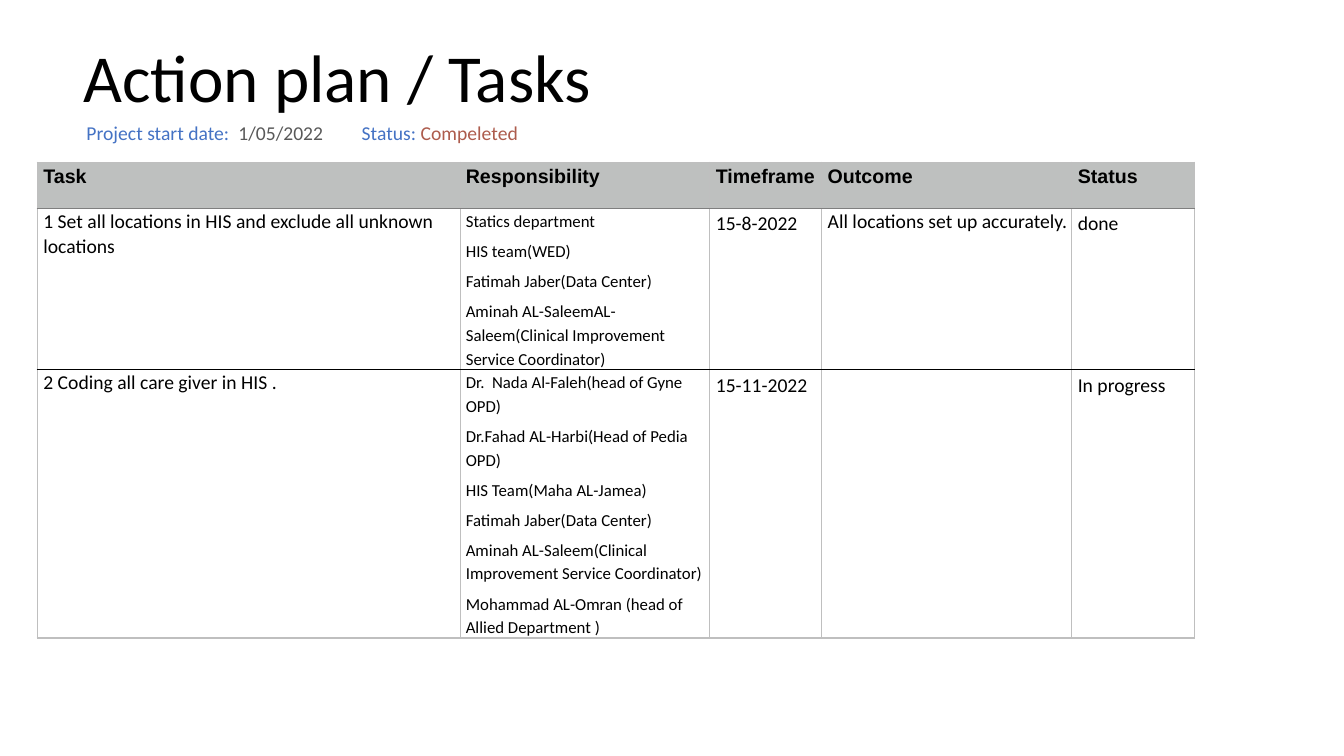
from dataclasses import dataclass

from lxml import etree
from pptx import Presentation
from pptx.dml.color import RGBColor
from pptx.enum.text import MSO_ANCHOR
from pptx.oxml.ns import qn
from pptx.util import Inches, Pt

MIDDLE = MSO_ANCHOR.MIDDLE


@dataclass(frozen=True)
class Theme:
    body: str = "Calibri"
    head: str = "Arial"
    ink: str = "000000"
    blue: str = "4472C4"
    gray: str = "595959"
    red: str = "AD5C4D"
    band: str = "BEC0BF"
    edge: str = "BFBFBF"
    rule: str = "7F7F7F"
    title: float = 48
    text: float = 14
    small: float = 12


THEME = Theme()
COLS = [4.2, 2.47, 1.11, 2.48, 1.22]
ROWS = [0.46, 1.6, 2.66]
LEADS = [1.04, 1.15, 1.15, 1.04, 1.15]
GAPS = [4.7, 4.7, 4.7, 4.7, 3.8]
INDENTS = [0.06, 0.05, 0.06, 0.06, 0.06]
HEADS = ["Task", "Responsibility", "Timeframe", "Outcome", "Status"]
TASKS = [
    [
        ["1 Set all locations in HIS and exclude all unknown locations"],
        [
            "Statics department",
            "HIS team(WED)",
            "Fatimah Jaber(Data Center)",
            "Aminah AL-SaleemAL-Saleem(Clinical Improvement Service Coordinator)",
        ],
        ["15-8-2022"],
        ["All locations set up accurately."],
        ["done"],
    ],
    [
        ["2 Coding all care giver in HIS ."],
        [
            "Dr.  Nada Al-Faleh(head of Gyne OPD)",
            "Dr.Fahad AL-Harbi(Head of Pedia OPD)",
            "HIS Team(Maha AL-Jamea)",
            "Fatimah Jaber(Data Center)",
            "Aminah AL-Saleem(Clinical Improvement Service Coordinator)",
            "Mohammad AL-Omran (head of Allied Department )",
        ],
        ["15-11-2022"],
        [],
        ["In progress"],
    ],
]


def style(font, size, name=THEME.body, color=THEME.ink, bold=False):
    font.size, font.name, font.bold = Pt(size), name, bold
    font.color.rgb = RGBColor.from_string(color)


def add_box(slide, box):
    """Add a wrapped text box and return its first paragraph."""
    frame = slide.shapes.add_textbox(*map(Inches, box)).text_frame
    frame.word_wrap = True
    frame.vertical_anchor = MIDDLE
    return frame.paragraphs[0]


def add_title(slide, box):
    para = add_box(slide, box)
    para.text = "Action plan / Tasks"
    para.line_spacing = 0.9
    style(para.font, THEME.title)


def add_facts(slide, box, stop):
    """Add the line of project facts, with a tab stop before the status."""
    para = add_box(slide, box)
    tabs = etree.SubElement(para._p.get_or_add_pPr(), qn("a:tabLst"))
    etree.SubElement(tabs, qn("a:tab"), pos=str(Inches(stop)), algn="l")
    style(para.font, THEME.text)
    for text, color in [
        ("Project start date:  ", THEME.blue),
        ("1/05/2022\t", THEME.gray),
        ("Status: ", THEME.blue),
        ("Compeleted", THEME.red),
    ]:
        run = para.add_run()
        run.text = text
        run.font.color.rgb = RGBColor.from_string(color)


def set_edges(cell, top, base):
    props = cell._tc.get_or_add_tcPr()
    sides = zip("LRTB", (THEME.edge, THEME.edge, top, base))
    for place, (side, color) in enumerate(sides):
        line = etree.Element(qn(f"a:ln{side}"), w=str(Pt(1)))
        fill = etree.SubElement(line, qn("a:solidFill"))
        etree.SubElement(fill, qn("a:srgbClr"), val=color)
        props.insert(place, line)


def fill_cell(cell, lines, indent, lead, gap, **look):
    cell.margin_left = cell.margin_right = 0
    cell.margin_top = cell.margin_bottom = 0
    frame = cell.text_frame
    frame.text = "\n".join(lines)
    for para in frame.paragraphs:
        props = para._p.get_or_add_pPr()
        props.set("marL", str(Inches(indent)))
        props.set("indent", "0")
        para.line_spacing = lead
        para.space_before = Pt(gap)
        style(para.font, **look)


def add_plan(slide, left, top):
    box = map(Inches, (left, top, sum(COLS), sum(ROWS)))
    table = slide.shapes.add_table(len(ROWS), len(COLS), *box).table
    table.first_row = table.horz_banding = False
    for part, size in zip(table.columns, COLS):
        part.width = Inches(size)
    for part, size in zip(table.rows, ROWS):
        part.height = Inches(size)

    rules = [THEME.edge, THEME.rule, THEME.ink, THEME.edge]
    for col, head in enumerate(HEADS):
        cell = table.cell(0, col)
        fill_cell(cell, [head], INDENTS[col], 1.15, 3.6,
                  size=THEME.text, name=THEME.head, bold=True)
        cell.fill.solid()
        cell.fill.fore_color.rgb = RGBColor.from_string(THEME.band)
        set_edges(cell, *rules[:2])
    for row, task in enumerate(TASKS, 1):
        for col, lines in enumerate(task):
            cell = table.cell(row, col)
            size = THEME.small if col == 1 else THEME.text
            fill_cell(cell, lines, INDENTS[col], LEADS[col], GAPS[col], size=size)
            cell.fill.background()
            set_edges(cell, *rules[row:row + 2])


def main():
    deck = Presentation()
    deck.slide_width, deck.slide_height = Inches(13.33), Inches(7.5)
    slide = deck.slides.add_slide(deck.slide_layouts[6])
    add_title(slide, (0.73, 0.23, 9.65, 1.14))
    add_facts(slide, (0.76, 1.16, 9.97, 0.32), 2.73)
    add_plan(slide, 0.37, 1.61)
    deck.save("out.pptx")


if __name__ == "__main__":
    main()
